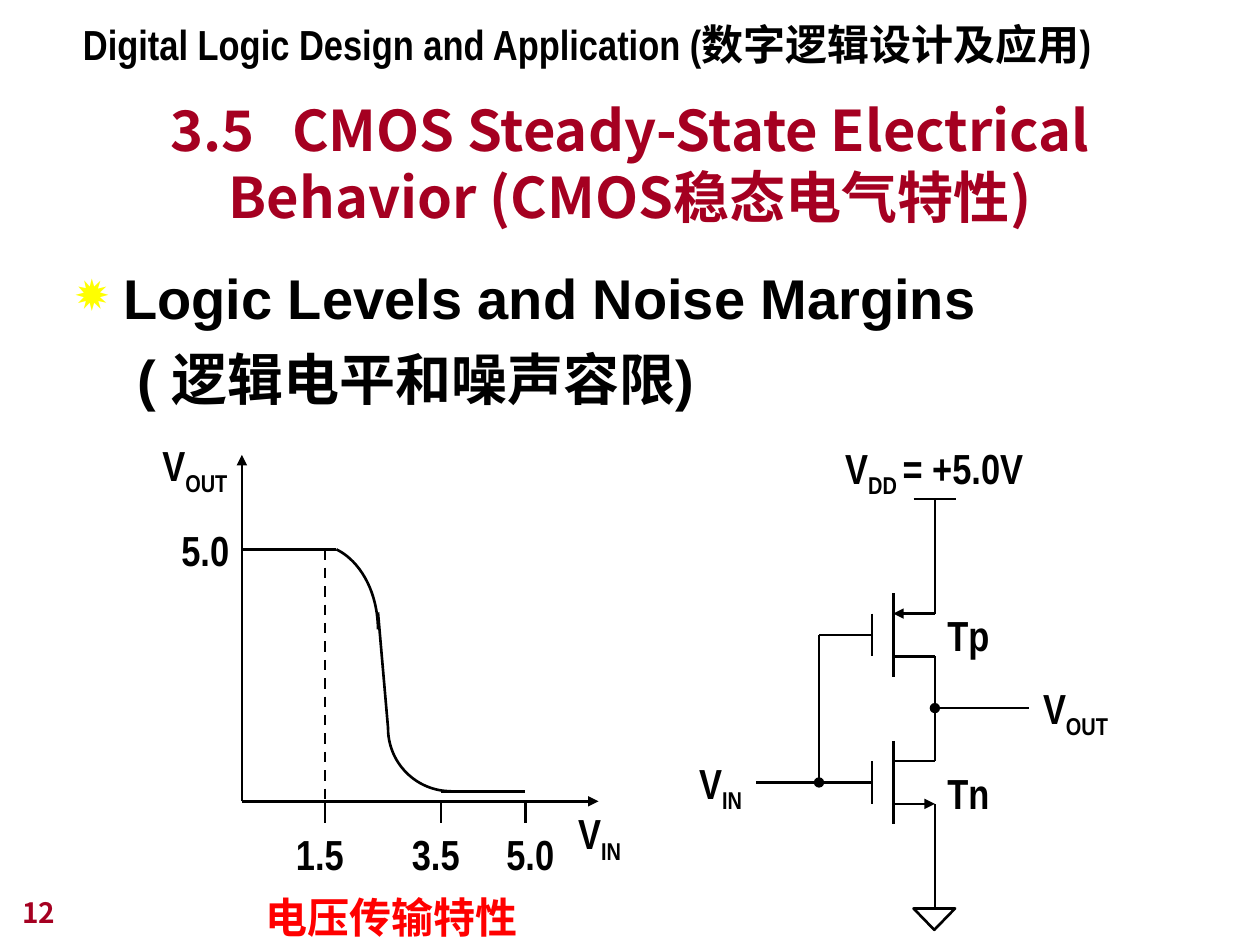
from dataclasses import dataclass

from lxml import etree
from pptx import Presentation
from pptx.dml.color import RGBColor
from pptx.enum.dml import MSO_LINE
from pptx.enum.shapes import MSO_CONNECTOR, MSO_SHAPE
from pptx.enum.text import MSO_ANCHOR, MSO_AUTO_SIZE, PP_ALIGN
from pptx.oxml.ns import qn
from pptx.util import Inches, Pt

STRAIGHT = MSO_CONNECTOR.STRAIGHT
ARC = MSO_SHAPE.ARC
TRIANGLE = MSO_SHAPE.ISOSCELES_TRIANGLE
DASH = MSO_LINE.DASH
TOP, BOTTOM = MSO_ANCHOR.TOP, MSO_ANCHOR.BOTTOM
CENTER = PP_ALIGN.CENTER
FIT_SHAPE = MSO_AUTO_SIZE.SHAPE_TO_FIT_TEXT


@dataclass(frozen=True)
class Theme:
    ink: RGBColor = RGBColor(0, 0, 0)
    heading: RGBColor = RGBColor(0xA5, 0x00, 0x21)
    caption: RGBColor = RGBColor(0xFF, 0, 0)
    bullet: str = "FFFF00"
    heading_font: str = "Noto Sans CJK JP"
    body_font: str = "Arial"
    label_font: str = "Arial Narrow"
    heading_size: int = 32
    label_size: int = 24
    number_size: int = 16
    line_width: float = 1.5


THEME = Theme()


def style(paragraph, font_name, size, color):
    font = paragraph.font
    font.name, font.size, font.bold = font_name, Pt(size), True
    font.color.rgb = color


def add_box(slide, left, top, width, height, anchor=TOP):
    box = slide.shapes.add_textbox(Inches(left), Inches(top), Inches(width), Inches(height))
    frame = box.text_frame
    frame.word_wrap = True
    frame.vertical_anchor = anchor
    return frame


def add_label(slide, left, top, width, text, subscript="", rest="", color=THEME.ink):
    """One-line label, with an optional subscript and text after it."""
    frame = add_box(slide, left, top, width, 0.56 if subscript else 0.5)
    frame.word_wrap = False
    frame.auto_size = FIT_SHAPE
    paragraph = frame.paragraphs[0]
    style(paragraph, THEME.label_font, THEME.label_size, color)
    for part, lowered in ((text, False), (subscript, True), (rest, False)):
        if part:
            run = paragraph.add_run()
            run.text = part
            if lowered:
                run.font._element.set("baseline", "-25000")


def set_outline(line):
    line.color.rgb = THEME.ink
    line.width = Pt(THEME.line_width)


def add_line(slide, x1, y1, x2, y2, head=None, tail=None, dash=None):
    connector = slide.shapes.add_connector(
        STRAIGHT, Inches(x1), Inches(y1), Inches(x2), Inches(y2))
    set_outline(connector.line)
    if dash:
        connector.line.dash_style = dash
    properties = connector._element.spPr
    for tag, kind in (("a:headEnd", head), ("a:tailEnd", tail)):
        if kind:
            etree.SubElement(connector.line._get_or_add_ln(), qn(tag), type=kind)
    etree.SubElement(properties, qn("a:effectLst"))


def add_outline_shape(slide, kind, left, top, width, height):
    shape = slide.shapes.add_shape(
        kind, Inches(left), Inches(top), Inches(width), Inches(height))
    shape.shadow.inherit = False
    shape.fill.background()
    set_outline(shape.line)
    return shape


def add_arc(slide, left, top, width, height, start, end):
    """Elliptic arc between two angles in degrees, clockwise from the right."""
    arc = add_outline_shape(slide, ARC, left, top, width, height)
    for index, degrees in enumerate((start, end)):
        arc.adjustments[index] = degrees * 0.6


def add_headings(slide):
    add_label(slide, 0.56, 0.1, 8.45,
              "Digital Logic Design and Application (数字逻辑设计及应用)")

    # Title, with a wide gap after the section number
    title = add_box(slide, 0.75, 0.68, 8.5, 1.19, BOTTOM).paragraphs[0]
    title.alignment = CENTER
    style(title, THEME.heading_font, THEME.heading_size, THEME.heading)
    for text in ("3.5", " ", "CMOS Steady-State Electrical Behavior (CMOS稳态电气特性)"):
        run = title.add_run()
        run.text = text
        if text == " ":
            run.font._element.set("spc", "1400")

    frame = add_box(slide, 0.5, 2.04, 9, 1.4)
    topic, translation = frame.paragraphs[0], frame.add_paragraph()
    topic.text = "Logic Levels and Noise Margins"
    translation.text = "( 逻辑电平和噪声容限)"
    translation.space_before = Pt(8)

    # Star bullet with a hanging indent
    properties = topic._p.get_or_add_pPr()
    properties.set("marL", str(Inches(0.38)))
    properties.set("indent", str(Inches(-0.38)))
    bullet_color = etree.SubElement(properties, qn("a:buClr"))
    etree.SubElement(bullet_color, qn("a:srgbClr"), val=THEME.bullet)
    etree.SubElement(properties, qn("a:buSzPct"), val="100000")
    etree.SubElement(properties, qn("a:buChar"), char="✹")
    translation._p.get_or_add_pPr().set("marL", str(Inches(0.49)))
    for paragraph in (topic, translation):
        style(paragraph, THEME.body_font, THEME.heading_size, THEME.ink)

    number = add_box(slide, 0.08, 6.92, 2.08, 0.5, BOTTOM).paragraphs[0]
    number.text = "12"
    style(number, THEME.heading_font, THEME.number_size, THEME.heading)


def add_transfer_curve(slide):
    origin_x, origin_y, high, low = 1.92, 6.36, 4.36, 6.28

    # Axes
    add_line(slide, origin_x, origin_y, 4.75, origin_y, tail="triangle")
    add_line(slide, origin_x, origin_y, origin_x, 3.61, tail="triangle")
    add_label(slide, 1.19, 3.44, 0.8, "V", "OUT")
    add_label(slide, 4.49, 6.36, 0.6, "V", "IN")
    add_label(slide, 1.34, 4.11, 0.62, "5.0")

    # Ticks on the input axis
    for x, label_left, text in ((2.58, 2.25, "1.5"), (3.5, 3.17, "3.5"), (4.17, 3.92, "5.0")):
        add_line(slide, x, origin_y, x, origin_y + 0.17)
        add_label(slide, label_left, 6.53, 0.62, text)

    # Curve from high to low output
    add_line(slide, origin_x, high, 2.67, high)
    add_arc(slide, 2, 4.32, 1, 1.35, 285, 0)
    add_line(slide, 3, 4.86, 3.08, 5.78)
    add_arc(slide, 3.08, 5.28, 1, 1, 90, 180)
    add_line(slide, 3.5, low, 4.17, low)
    add_line(slide, 2.58, high, 2.58, origin_y, dash=DASH)
    add_label(slide, 2.01, 7.03, 2.25, "电压传输特性", color=THEME.caption)


def add_inverter(slide):
    gate_x, channel_x, rail_x, input_x = 6.92, 7.09, 7.42, 6.5
    upper, lower, output_y = 5.04, 6.21, 5.62
    half_gate, half_channel = 0.17, 0.33
    supply_y, ground_y = 3.96, 7.21

    # Transistors: gate plate, channel and two terminals
    for middle, top_head, bottom_tail in ((upper, "triangle", None), (lower, None, "triangle")):
        top, bottom = middle - half_gate, middle + half_gate
        add_line(slide, gate_x, top, gate_x, bottom)
        add_line(slide, channel_x, middle - half_channel, channel_x, middle + half_channel)
        add_line(slide, channel_x, top, rail_x, top, head=top_head)
        add_line(slide, channel_x, bottom, rail_x, bottom, tail=bottom_tail)

    # Supply, output and ground wires
    add_line(slide, rail_x - 0.17, supply_y, rail_x + 0.17, supply_y)
    add_line(slide, rail_x, upper - half_gate, rail_x, supply_y)
    add_line(slide, rail_x, upper + half_gate, rail_x, lower - half_gate)
    add_line(slide, rail_x, ground_y, rail_x, lower + half_gate)
    add_line(slide, rail_x, output_y, 8.17, output_y, head="oval")
    ground = add_outline_shape(slide, TRIANGLE, rail_x - 0.17, ground_y, 0.33, 0.17)
    ground.rotation = 180

    # Input wires
    add_line(slide, gate_x, upper, input_x, upper)
    add_line(slide, gate_x, lower, 6, lower)
    add_line(slide, input_x, upper, input_x, lower, tail="oval")

    # Labels
    add_label(slide, 6.61, 3.46, 1.7, "V", "DD ", "= +5.0V")
    add_label(slide, 8.18, 5.37, 0.8, "V", "OUT")
    add_label(slide, 5.45, 5.96, 0.6, "V", "IN")
    add_label(slide, rail_x, 4.79, 0.6, "Tp")
    add_label(slide, rail_x, 6.04, 0.6, "Tn")


def main():
    presentation = Presentation()
    presentation.slide_width, presentation.slide_height = Inches(10), Inches(7.5)
    slide = presentation.slides.add_slide(presentation.slide_layouts[6])
    add_headings(slide)
    add_inverter(slide)
    add_transfer_curve(slide)
    presentation.save("out.pptx")


if __name__ == "__main__":
    main()
